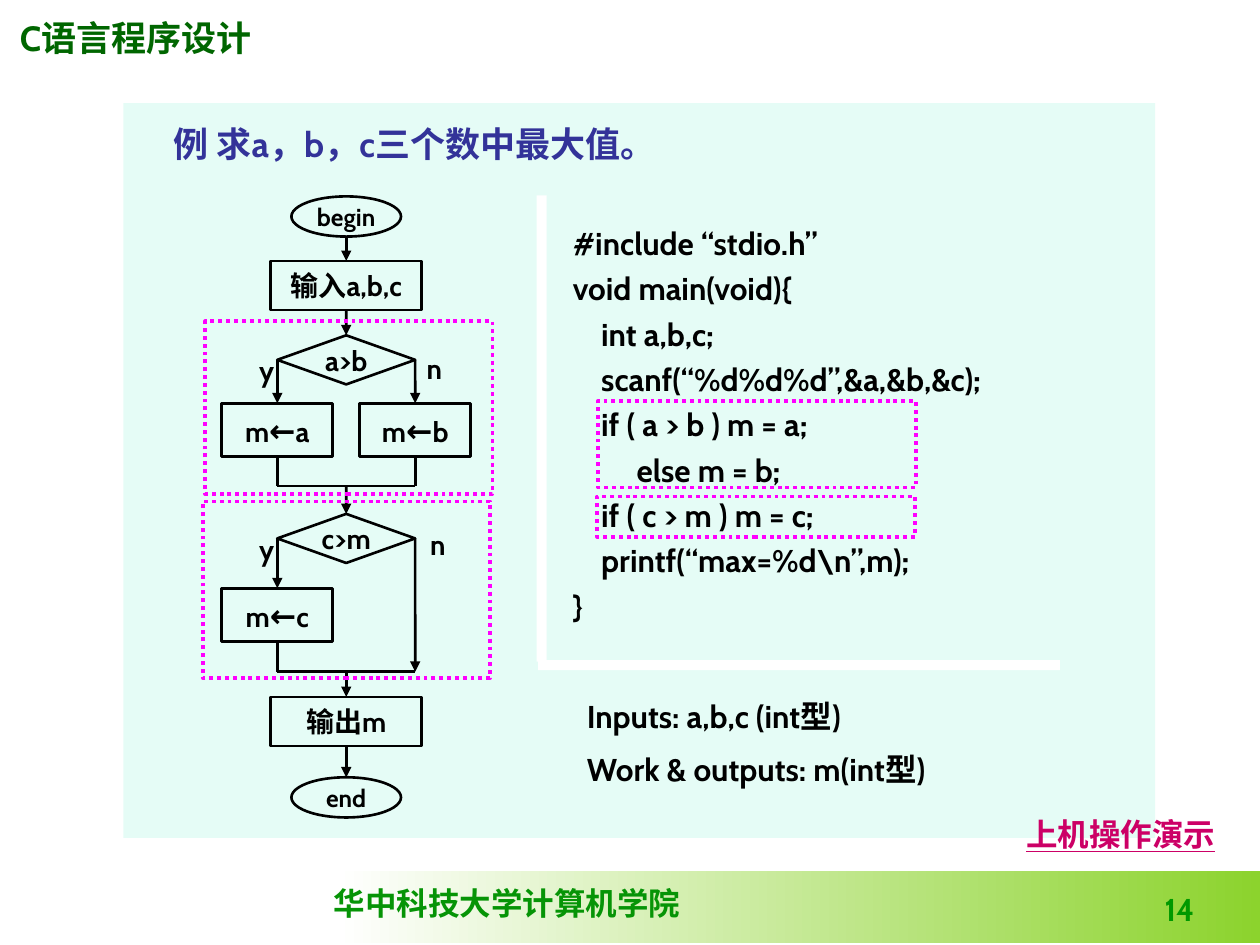
from lxml.etree import SubElement
from pptx import Presentation
from pptx.dml.color import RGBColor
from pptx.enum.dml import MSO_LINE
from pptx.enum.shapes import MSO_CONNECTOR, MSO_SHAPE
from pptx.enum.text import MSO_ANCHOR, PP_ALIGN
from pptx.oxml.ns import qn
from pptx.util import Cm, Pt

BLACK = "000000"
AXIS, HALF = 6.98, 1.39
LEFT, RIGHT = AXIS - HALF, AXIS + HALF
TOP, WEST, BASE, EAST = range(4)
CODE = [
    "#include “stdio.h”",
    "void main(void){",
    "    int a,b,c;",
    "    scanf(“%d%d%d”,&a,&b,&c);",
    "    if ( a > b ) m = a;",
    "         else m = b;",
    "    if ( c > m ) m = c;",
    "    printf(“max=%d\\n”,m);",
    "}",
]


def color(value):
    return RGBColor.from_string(value)


def write(frame, *lines, size=18, ink=BLACK, font="Cabin", align=PP_ALIGN.LEFT,
          anchor=MSO_ANCHOR.TOP, wrap=True, pad=None, gap=0, space=1.0, under=False):
    frame.word_wrap = wrap
    frame.vertical_anchor = anchor
    if pad is not None:
        frame.margin_left = frame.margin_right = Cm(pad)
        frame.margin_top = frame.margin_bottom = Cm(pad)
    for i, line in enumerate(lines):
        par = frame.add_paragraph() if i else frame.paragraphs[0]
        par.alignment = align
        par.line_spacing = space
        if i and gap:
            par.space_before = Pt(gap)
        runs = [(line, {})] if isinstance(line, str) else line
        for words, form in runs:
            run = par.add_run()
            run.text = words
            run.font.name = form.get("font", font)
            run.font.size = Pt(form.get("size", size))
            run.font.bold = True
            run.font.underline = under
            run.font.color.rgb = color(ink)


def text(slide, x, y, w, h, *lines, **form):
    box = slide.shapes.add_textbox(Cm(x), Cm(y), Cm(w), Cm(h))
    write(box.text_frame, *lines, **form)


def shape(slide, kind, x, y, w, h, fill=None, line=None, width=1.5, dash=None):
    item = slide.shapes.add_shape(kind, Cm(x), Cm(y), Cm(w), Cm(h))
    item.shadow.inherit = False
    if fill:
        item.fill.solid()
        item.fill.fore_color.rgb = color(fill)
    else:
        item.fill.background()
    if line:
        item.line.color.rgb = color(line)
        item.line.width = Pt(width)
        if dash:
            item.line.dash_style = dash
    else:
        item.line.fill.background()
    return item


def node(slide, kind, mid, y, w, h, label, size=16):
    item = shape(slide, kind, mid - w / 2, y, w, h, line=BLACK)
    write(item.text_frame, label, size=size, align=PP_ALIGN.CENTER,
          anchor=MSO_ANCHOR.MIDDLE, wrap=False, pad=0)
    return item


def assign(slide, mid, y, name):
    label = [("m", {}), ("←", {"size": 18}), (name, {})]
    return node(slide, MSO_SHAPE.RECTANGLE, mid, y, 2.24, 1.07, label)


def link(slide, start, end, head=False):
    line = slide.shapes.add_connector(MSO_CONNECTOR.STRAIGHT, 0, 0, 0, 0)
    if isinstance(start[0], (int, float)):
        line.begin_x, line.begin_y = Cm(start[0]), Cm(start[1])
    else:
        line.begin_connect(*start)
    if isinstance(end[0], (int, float)):
        line.end_x, line.end_y = Cm(end[0]), Cm(end[1])
    else:
        line.end_connect(*end)
    line.line.color.rgb = color(BLACK)
    line.line.width = Pt(1.5)
    if head:
        SubElement(line.line._get_or_add_ln(), qn("a:tailEnd"), type="triangle")
    SubElement(line._element.spPr, qn("a:effectLst"))


def frame(slide):
    band = shape(slide, MSO_SHAPE.RECTANGLE, 6.78, 17.55, 18.62, 1.47)
    band.fill.gradient()
    band.fill.gradient_angle = 0
    for stop, tint, place in zip(band.fill.gradient_stops, ("FFFFFF", "8CD32D"), (0, 1)):
        stop.color.rgb = color(tint)
        stop.position = place
    text(slide, 6.48, 17.7, 7.49, 1.02, "华中科技大学计算机学院",
         ink="069406", font="Times New Roman", wrap=False)
    text(slide, 0.15, 0.2, 5.21, 1.09,
         [("C", {}), ("语言程序设计", {"font": "Times New Roman"})], size=20, ink="006600")
    text(slide, 19.05, 17.65, 5.28, 1.17, "14", ink="009900",
         align=PP_ALIGN.RIGHT, anchor=MSO_ANCHOR.BOTTOM)
    panel = shape(slide, MSO_SHAPE.RECTANGLE, 2.49, 2.08, 20.8, 14.81, fill="00E4A8")
    tint = panel._element.spPr.find(qn("a:solidFill"))[0]
    SubElement(tint, qn("a:alpha"), val="10000")


def flow(slide):
    oval, rect, test = MSO_SHAPE.OVAL, MSO_SHAPE.RECTANGLE, MSO_SHAPE.FLOWCHART_DECISION
    begin = node(slide, oval, AXIS, 3.96, 2.21, 0.81, "begin", size=14)
    enter = node(slide, rect, AXIS, 5.26, 3.05, 0.99, "输入a,b,c")
    first = node(slide, test, AXIS, 6.76, 2 * HALF, 0.99, "a>b")
    set_a = assign(slide, LEFT, 8.13, "a")
    set_b = assign(slide, RIGHT, 8.13, "b")
    next_ = node(slide, test, AXIS, 10.36, 2 * HALF, 0.99, "c>m")
    set_c = assign(slide, LEFT, 11.86, "c")
    show = node(slide, rect, AXIS, 14.05, 3.05, 0.99, "输出m")
    end = node(slide, oval, AXIS, 15.67, 2.21, 0.81, "end", size=14)

    join, last = 9.8, 13.54
    link(slide, (AXIS, 4.77), (enter, TOP), head=True)
    for start, goal in (
        ((enter, BASE), (first, TOP)),
        ((first, WEST), (set_a, TOP)),
        ((first, EAST), (set_b, TOP)),
        ((AXIS, join), (next_, TOP)),
        ((next_, WEST), (set_c, TOP)),
        ((next_, EAST), (RIGHT, last)),
        ((AXIS, last), (show, TOP)),
        ((show, BASE), (end, TOP)),
    ):
        link(slide, start, goal, head=True)
    for box, x, y in ((set_a, LEFT, join), (set_b, RIGHT, join), (set_c, LEFT, last)):
        link(slide, (box, BASE), (x, y))
    for y in (join, last):
        link(slide, (LEFT, y), (RIGHT, y))
    for x, y, mark in ((4.88, 7.01, "y"), (8.26, 6.96, "n"),
                       (4.88, 10.62, "y"), (8.33, 10.52, "n")):
        text(slide, x, y, 0.99, 0.94, mark, size=16, align=PP_ALIGN.CENTER)


def main():
    deck = Presentation()
    deck.slide_width, deck.slide_height = Cm(25.4), Cm(19.05)
    slide = deck.slides.add_slide(deck.slide_layouts[6])
    frame(slide)
    text(slide, 3.25, 2.34, 19.84, 1.09, "例 求a，b，c三个数中最大值。",
         size=20, ink="333399", anchor=MSO_ANCHOR.MIDDLE)
    text(slide, 11.3, 4.22, 11.1, 8.51, *CODE, space=1.2, anchor=MSO_ANCHOR.MIDDLE)
    flow(slide)
    text(slide, 11.58, 13.92, 9.8, 2.16, "Inputs: a,b,c (int型)",
         "Work & outputs: m(int型)", gap=9)
    for place in ((10.82, 3.94, 0.2, 9.4), (10.85, 13.31, 10.52, 0.2)):
        shape(slide, MSO_SHAPE.RECTANGLE, *place, fill="FFFFFF")
    for place in ((4.14, 6.48, 5.79, 3.48), (4.09, 10.11, 5.79, 3.56),
                  (12.06, 8.08, 6.4, 1.75), (12.04, 10.01, 6.4, 0.81)):
        shape(slide, MSO_SHAPE.RECTANGLE, *place, line="FF00FF", width=2.25,
              dash=MSO_LINE.ROUND_DOT)
    text(slide, 20.09, 16.31, 5, 1.02, "上机操作演示", ink="CC0066",
         align=PP_ALIGN.CENTER, under=True)
    deck.save("out.pptx")


if __name__ == "__main__":
    main()
